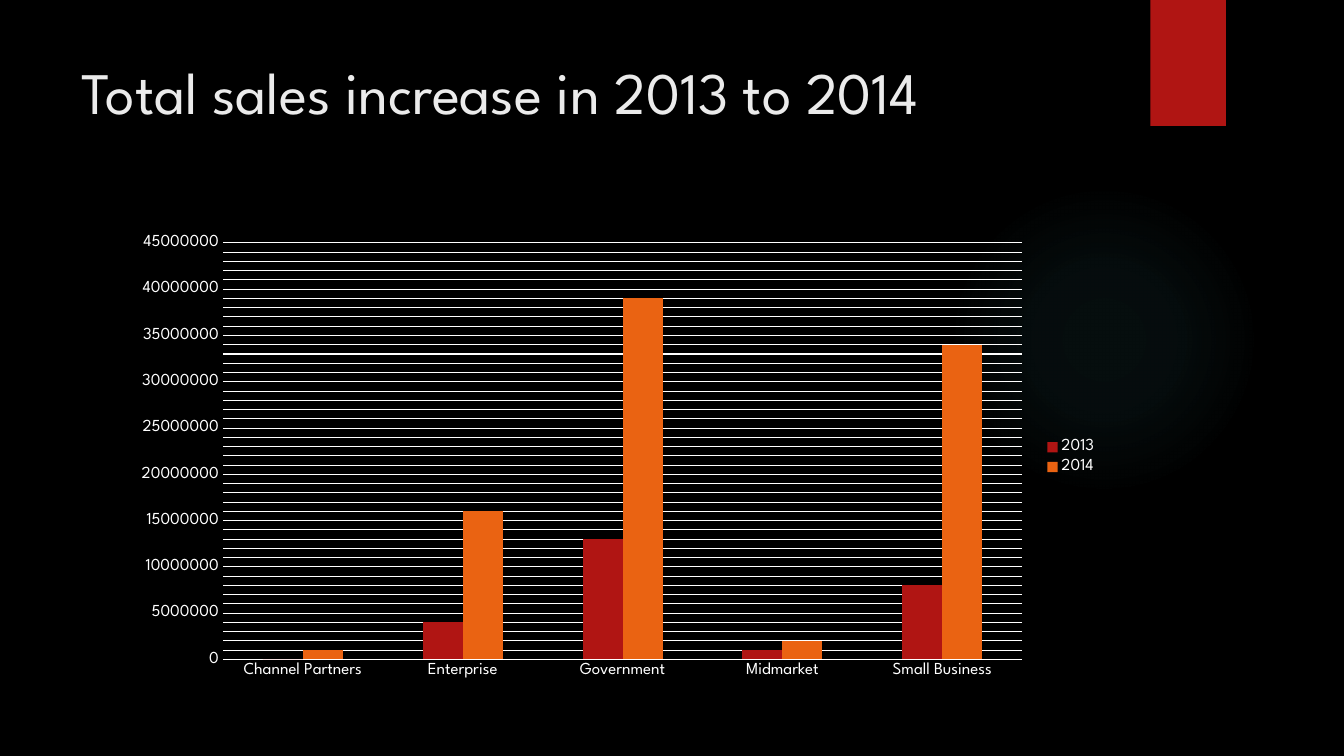
from copy import deepcopy
from dataclasses import dataclass

from pptx import Presentation
from pptx.chart.data import CategoryChartData
from pptx.dml.color import RGBColor
from pptx.enum.chart import XL_CHART_TYPE, XL_LEGEND_POSITION, XL_TICK_MARK
from pptx.enum.shapes import MSO_SHAPE
from pptx.enum.text import MSO_ANCHOR
from pptx.oxml import parse_xml
from pptx.oxml.ns import nsdecls
from pptx.util import Inches, Pt

COLUMNS = XL_CHART_TYPE.COLUMN_CLUSTERED
LEGEND_RIGHT = XL_LEGEND_POSITION.RIGHT
NO_TICK = XL_TICK_MARK.NONE
ELLIPSE, RECTANGLE = MSO_SHAPE.OVAL, MSO_SHAPE.RECTANGLE
TOP = MSO_ANCHOR.TOP

FONT = "League Spartan"
BLACK, WHITE, TITLE_GREY = "000000", "FFFFFF", "EBEBEB"
RED, ORANGE, GLOW_TEAL = "B01513", "EA6312", "50B9C1"
MILLION = 1_000_000


@dataclass(frozen=True)
class Box:
    left: float
    top: float
    width: float
    height: float

    def lengths(self) -> tuple:
        return tuple(Inches(n) for n in (self.left, self.top, self.width, self.height))


@dataclass(frozen=True)
class YearSales:
    year: str
    color: str
    millions: tuple[int, ...]


@dataclass(frozen=True)
class GlowStop:
    position: int
    opacity: int


SEGMENTS = ("Channel Partners", "Enterprise", "Government", "Midmarket", "Small Business")
SALES = (
    YearSales("2013", RED, (0, 4, 13, 1, 8)),
    YearSales("2014", ORANGE, (1, 16, 39, 2, 34)),
)
GLOW_STOPS = (GlowStop(0, 7), GlowStop(36, 6), GlowStop(69, 0))


def rgb(color: str) -> RGBColor:
    return RGBColor.from_string(color)


def style_font(font, size: float, color: str) -> None:
    font.name = FONT
    font.size = Pt(size)
    font.color.rgb = rgb(color)


def style_line(line, color: str) -> None:
    line.color.rgb = rgb(color)
    line.width = Pt(0.75)


def add_plain_shape(page, kind, box: Box, color: str):
    shape = page.shapes.add_shape(kind, *box.lengths())
    shape.shadow.inherit = False
    shape.fill.solid()
    shape.fill.fore_color.rgb = rgb(color)
    shape.line.fill.background()
    return shape


def add_glow(page, box: Box) -> None:
    """Draw a circle whose faint colour fades out from its centre."""
    glow = add_plain_shape(page, ELLIPSE, box, GLOW_TEAL)
    stops = "".join(
        f'<a:gs pos="{stop.position * 1000}"><a:srgbClr val="{GLOW_TEAL}">'
        f'<a:alpha val="{stop.opacity * 1000}"/></a:srgbClr></a:gs>'
        for stop in GLOW_STOPS
    )
    gradient = parse_xml(
        f'<a:gradFill {nsdecls("a")}><a:gsLst>{stops}</a:gsLst><a:path path="circle">'
        '<a:fillToRect l="50000" t="50000" r="50000" b="50000"/></a:path></a:gradFill>'
    )
    properties = glow.element.spPr
    properties.replace(properties.find("{*}solidFill"), gradient)


def add_title(page, box: Box, text: str) -> None:
    frame = page.shapes.add_textbox(*box.lengths()).text_frame
    frame.word_wrap = True
    frame.vertical_anchor = TOP
    span = frame.paragraphs[0].add_run()
    span.text = text
    style_font(span.font, 42, TITLE_GREY)


def add_gridlines(chart) -> None:
    """Give the value axis major and minor gridlines of the same style."""
    values = chart.value_axis
    values.has_major_gridlines = values.has_minor_gridlines = True
    style_line(values.major_gridlines.format.line, WHITE)
    major = chart.element.find(".//{*}valAx/{*}majorGridlines")
    minor = chart.element.find(".//{*}valAx/{*}minorGridlines")
    minor.append(deepcopy(major[0]))


def add_sales_chart(page, box: Box) -> None:
    data = CategoryChartData(number_format="0")
    data.categories = SEGMENTS
    for sales in SALES:
        data.add_series(sales.year, [value * MILLION for value in sales.millions])
    chart = page.shapes.add_chart(COLUMNS, *box.lengths(), data).chart
    chart.has_title = False
    style_font(chart.font, 10, WHITE)

    chart.has_legend = True
    chart.legend.position = LEGEND_RIGHT
    chart.legend.include_in_layout = False
    style_font(chart.legend.font, 12, WHITE)

    plot = chart.plots[0]
    plot.gap_width = 199
    plot.overlap = 0
    plot.vary_by_categories = False
    for series, sales in zip(plot.series, SALES):
        series.format.fill.solid()
        series.format.fill.fore_color.rgb = rgb(sales.color)

    for axis in (chart.category_axis, chart.value_axis):
        axis.major_tick_mark = axis.minor_tick_mark = NO_TICK
        style_font(axis.tick_labels.font, 12, WHITE)
    style_line(chart.category_axis.format.line, WHITE)

    values = chart.value_axis
    values.minimum_scale, values.maximum_scale = 0, 45 * MILLION
    values.major_unit, values.minor_unit = 5 * MILLION, MILLION
    values.format.line.fill.background()
    add_gridlines(chart)


def main() -> None:
    deck = Presentation()
    deck.slide_width, deck.slide_height = Inches(13.33), Inches(7.5)
    page = deck.slides.add_slide(deck.slide_layouts[6])
    page.background.fill.solid()
    page.background.fill.fore_color.rgb = rgb(BLACK)

    add_glow(page, Box(9.41, 1.83, 3.08, 3.08))
    add_plain_shape(page, RECTANGLE, Box(11.41, 0, 0.75, 1.25), RED)
    add_title(page, Box(0.71, 0.5, 10.29, 1.53), "Total sales increase in 2013 to 2014")
    add_sales_chart(page, Box(1.21, 2.24, 9.78, 4.59))
    deck.save("out.pptx")


if __name__ == "__main__":
    main()
